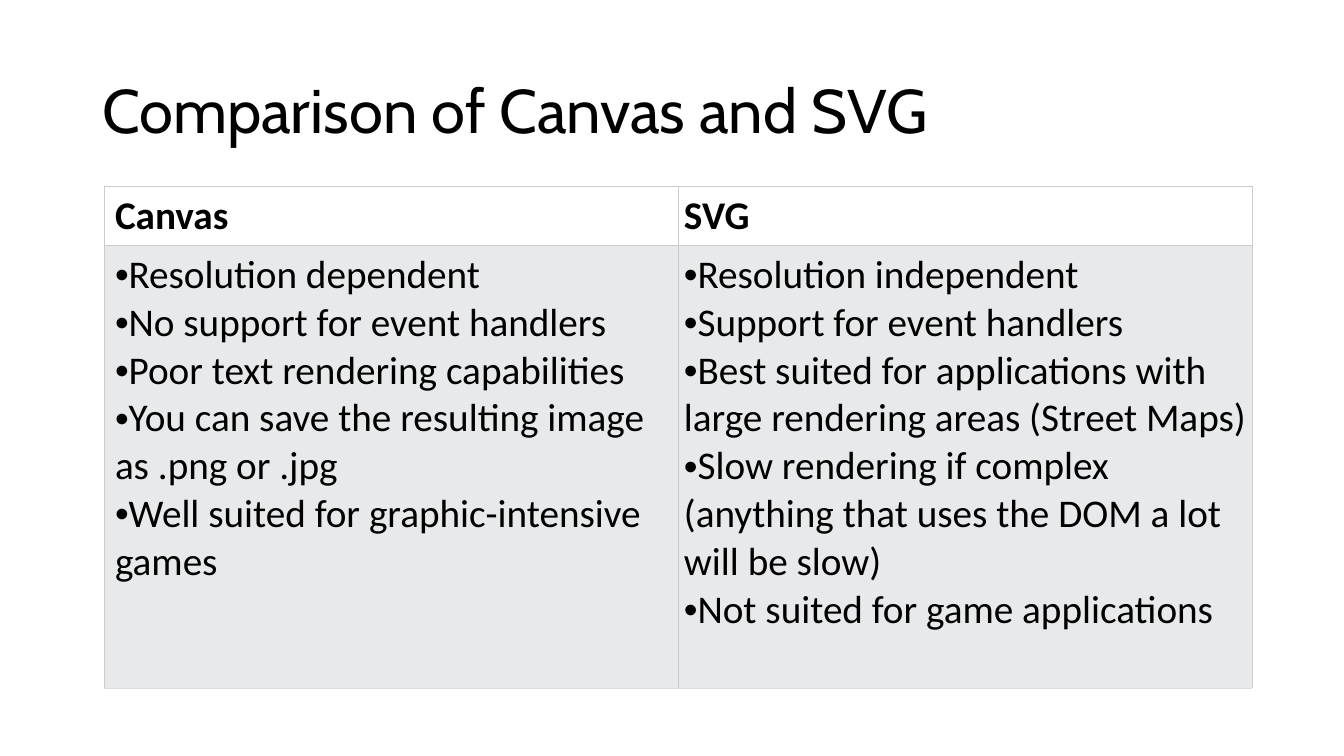
from dataclasses import dataclass

from lxml import etree
from pptx import Presentation
from pptx import util as u
from pptx.dml.color import RGBColor
from pptx.enum import text as t
from pptx.oxml import ns

TITLE = "Comparison of Canvas and SVG"
COMPARISON = {
    "Canvas": [
        "Resolution dependent",
        "No support for event handlers",
        "Poor text rendering capabilities",
        "You can save the resulting image as .png or .jpg",
        "Well suited for graphic-intensive games",
    ],
    "SVG": [
        "Resolution independent",
        "Support for event handlers",
        "Best suited for applications with large rendering areas (Street Maps)",
        "Slow rendering if complex (anything that uses the DOM a lot will be slow)",
        "Not suited for game applications",
    ],
}

# Lengths in px
SLIDE = (1344, 756)
TITLE_BOX = (92, 41, 1159, 146)
TABLE_BOX = (104, 186, 1148, 502)
HEADER_HEIGHT = 59
CELL_MARGIN, FIRST_MARGIN, BOTTOM_MARGIN = 6, 11, 5


@dataclass(frozen=True)
class Theme:
    title_font: str = "Cabin"
    body_font: str = "Calibri"
    bullet_font: str = "Arial"
    title_size: int = 44
    body_size: int = 28
    ink: str = "000000"
    header_fill: str = "FFFFFF"
    body_fill: str = "E7E9EB"
    border: str = "CCCCCC"
    bottom_border: str = "DDDDDD"
    border_width: float = 0.5


THEME = Theme()


def px(length):
    return u.Emu(round(length * 914400 / 100.8))


def write(frame, lines, font=THEME.body_font, size=THEME.body_size,
          bold=False, bullet=None, spacing=None):
    for index, line in enumerate(lines):
        paragraph = frame.paragraphs[0] if index == 0 else frame.add_paragraph()
        paragraph.alignment = t.PP_ALIGN.LEFT
        if spacing:
            paragraph.line_spacing = spacing
        if bullet:
            properties = paragraph._p.get_or_add_pPr()
            properties.set("marL", "0")
            properties.set("indent", "0")
            etree.SubElement(properties, ns.qn("a:buFont"), typeface=THEME.bullet_font)
            etree.SubElement(properties, ns.qn("a:buChar"), char=bullet)
        run = paragraph.add_run()
        run.text = line
        run.font.name = font
        run.font.size = u.Pt(size)
        run.font.bold = bold
        run.font.color.rgb = RGBColor.from_string(THEME.ink)


def add_borders(cell, bottom):
    properties = cell._tc.get_or_add_tcPr()
    sides = {"L": THEME.border, "R": THEME.border, "T": THEME.border, "B": bottom}
    for position, (side, color) in enumerate(sides.items()):
        border = etree.Element(ns.qn(f"a:ln{side}"), w=str(u.Pt(THEME.border_width)))
        fill = etree.SubElement(border, ns.qn("a:solidFill"))
        etree.SubElement(fill, ns.qn("a:srgbClr"), val=color)
        properties.insert(position, border)


def format_cell(cell, fill, left_margin, bottom):
    cell.margin_left = px(left_margin)
    cell.margin_right = cell.margin_top = px(CELL_MARGIN)
    cell.margin_bottom = px(BOTTOM_MARGIN)
    cell.vertical_anchor = t.MSO_ANCHOR.TOP
    cell.fill.solid()
    cell.fill.fore_color.rgb = RGBColor.from_string(fill)
    add_borders(cell, bottom)


def add_title(slide):
    title = slide.shapes.title
    title.left, title.top, title.width, title.height = map(px, TITLE_BOX)
    title.text_frame.auto_size = t.MSO_AUTO_SIZE.NONE
    title.text_frame.vertical_anchor = t.MSO_ANCHOR.MIDDLE
    write(title.text_frame, [TITLE], font=THEME.title_font,
          size=THEME.title_size, spacing=0.9)


def add_comparison(slide):
    table = slide.shapes.add_table(2, len(COMPARISON), *map(px, TABLE_BOX)).table
    table.first_row = table.horz_banding = False
    table.rows[0].height = px(HEADER_HEIGHT)
    table.rows[1].height = px(TABLE_BOX[3] - HEADER_HEIGHT)
    for column, (technology, traits) in enumerate(COMPARISON.items()):
        left_margin = CELL_MARGIN if column else FIRST_MARGIN
        header, body = table.cell(0, column), table.cell(1, column)
        format_cell(header, THEME.header_fill, left_margin, THEME.border)
        format_cell(body, THEME.body_fill, left_margin, THEME.bottom_border)
        write(header.text_frame, [technology], bold=True)
        write(body.text_frame, traits, bullet="•")


def main():
    deck = Presentation()
    deck.slide_width, deck.slide_height = map(px, SLIDE)
    slide = deck.slides.add_slide(deck.slide_layouts.get_by_name("Title Only"))
    add_title(slide)
    add_comparison(slide)
    deck.save("out.pptx")


if __name__ == "__main__":
    main()
